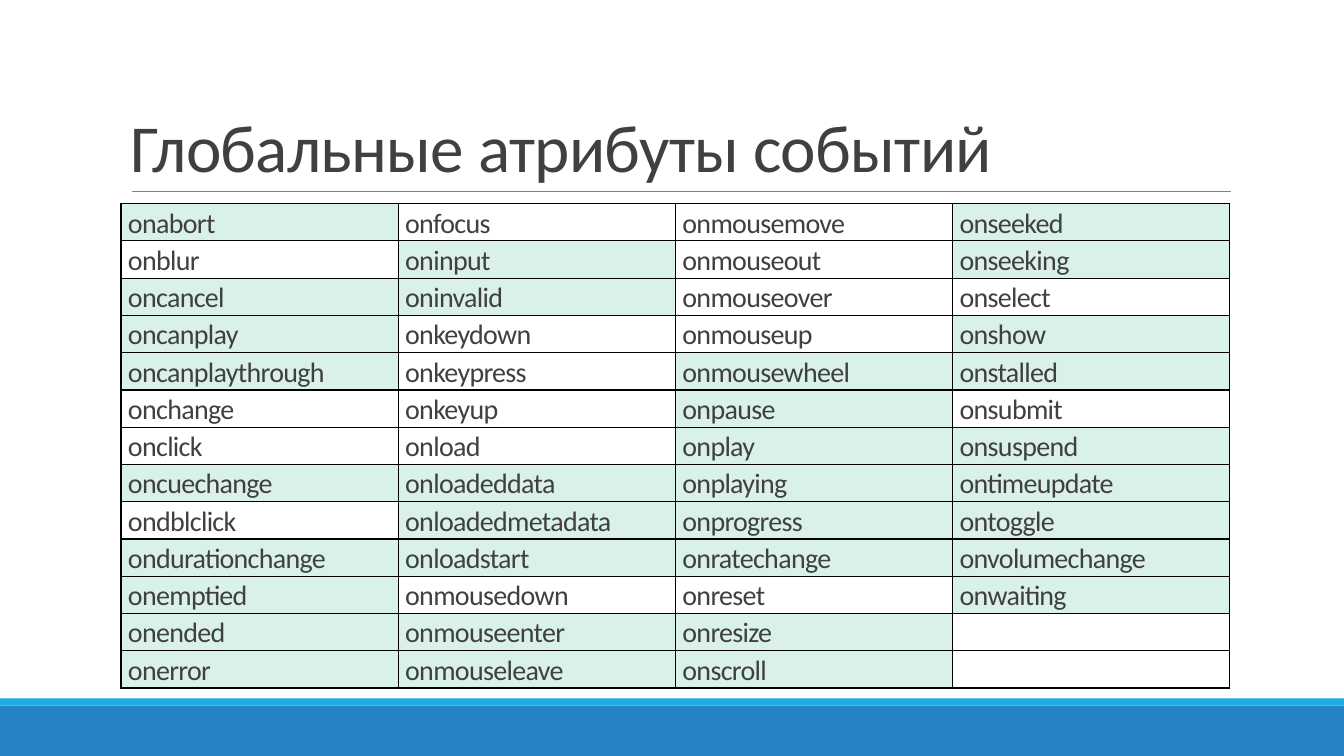
from dataclasses import dataclass

from lxml.etree import SubElement
from pptx import Presentation
from pptx.dml.color import RGBColor
from pptx.enum.shapes import MSO_CONNECTOR as Connector, MSO_SHAPE as Preset
from pptx.enum.text import MSO_ANCHOR as Anchor
from pptx.oxml.ns import qn
from pptx.slide import Slide
from pptx.table import _Cell as Cell
from pptx.text.text import TextFrame
from pptx.util import Pt

COLORS = {
    "footer": "2683C6",
    "stripe": "1CADE4",
    "rule": "808080",
    "text": "404040",
    "shade": "D9F1EA",
    "border": "000000",
}
FONT = "Calibri"
PAGE_WIDTH, PAGE_HEIGHT = 960, 540
TABLE_LEFT, TABLE_TOP = 86.4, 145.44
COLUMN_WIDTH, ROW_HEIGHT = 198, 26.64
ROW_COUNT = 13

EVENTS = """
onabort onblur oncancel oncanplay oncanplaythrough onchange onclick
oncuechange ondblclick ondurationchange onemptied onended onerror
onfocus oninput oninvalid onkeydown onkeypress onkeyup onload
onloadeddata onloadedmetadata onloadstart onmousedown onmouseenter onmouseleave
onmousemove onmouseout onmouseover onmouseup onmousewheel onpause onplay
onplaying onprogress onratechange onreset onresize onscroll
onseeked onseeking onselect onshow onstalled onsubmit onsuspend
ontimeupdate ontoggle onvolumechange onwaiting
""".split()
UNSHADED = set("""
onblur onchange onclick ondblclick onfocus onkeydown onkeypress onkeyup onload
onmousedown onmousemove onmouseout onmouseover onmouseup onreset onselect onsubmit
""".split())


@dataclass(frozen=True)
class Band:
    top: float
    height: float
    color: str


BANDS = (Band(504, 36, "footer"), Band(498.96, 5.04, "stripe"))


def rgb(name: str) -> RGBColor:
    return RGBColor.from_string(COLORS[name])


def write(frame: TextFrame, text: str, *, size: float, line_spacing: float,
          tracking: float = -0.5) -> None:
    """Put one formatted paragraph in the frame; tracking is in points."""
    para = frame.paragraphs[0]
    para.line_spacing = line_spacing
    span = para.add_run()
    span.text = text
    span.font.name = FONT
    span.font.size = Pt(size)
    span.font.color.rgb = rgb("text")
    span.font._element.set("spc", str(round(tracking * 100)))


def draw_band(page: Slide, band: Band) -> None:
    shape = page.shapes.add_shape(
        Preset.RECTANGLE, 0, Pt(band.top), Pt(PAGE_WIDTH), Pt(band.height))
    shape.shadow.inherit = False
    shape.fill.solid()
    shape.fill.fore_color.rgb = rgb(band.color)
    shape.line.fill.background()


def draw_title(page: Slide, text: str) -> None:
    rule = page.shapes.add_connector(
        Connector.STRAIGHT, Pt(94.32), Pt(136.8), Pt(879.12), Pt(136.8))
    rule.line.color.rgb = rgb("rule")
    rule.line.width = Pt(0.5)
    SubElement(rule._element.spPr, qn("a:effectLst"))

    box = page.shapes.add_textbox(Pt(TABLE_LEFT), Pt(22.32), Pt(792), Pt(114.48))
    box.text_frame.word_wrap = True
    box.text_frame.vertical_anchor = Anchor.BOTTOM
    write(box.text_frame, text, size=48, line_spacing=0.85)


def add_borders(cell: Cell, width: float = 1) -> None:
    properties = cell._tc.get_or_add_tcPr()
    for side in ("lnL", "lnR", "lnT", "lnB"):
        line = SubElement(properties, qn(f"a:{side}"), w=str(Pt(width)))
        fill = SubElement(line, qn("a:solidFill"))
        SubElement(fill, qn("a:srgbClr"), val=COLORS["border"])


def fill_cell(cell: Cell, event: str) -> None:
    cell.margin_left = cell.margin_right = Pt(5.04)
    cell.margin_top = cell.margin_bottom = 0
    cell.vertical_anchor = Anchor.MIDDLE
    add_borders(cell)
    if event and event not in UNSHADED:
        cell.fill.solid()
        cell.fill.fore_color.rgb = rgb("shade")
    else:
        cell.fill.background()
    if event:
        write(cell.text_frame, event, size=20, line_spacing=1.07)


def draw_events(page: Slide) -> None:
    """Lay the events out column by column."""
    column_count = -(-len(EVENTS) // ROW_COUNT)
    table = page.shapes.add_table(
        ROW_COUNT, column_count, Pt(TABLE_LEFT), Pt(TABLE_TOP),
        Pt(COLUMN_WIDTH * column_count), Pt(ROW_HEIGHT * ROW_COUNT)).table
    table.first_row = table.horz_banding = False
    for column in table.columns:
        column.width = Pt(COLUMN_WIDTH)
    for row in table.rows:
        row.height = Pt(ROW_HEIGHT)
    for index in range(ROW_COUNT * column_count):
        column_index, row_index = divmod(index, ROW_COUNT)
        event = EVENTS[index] if index < len(EVENTS) else ""
        fill_cell(table.cell(row_index, column_index), event)


def main() -> None:
    deck = Presentation()
    deck.slide_width, deck.slide_height = Pt(PAGE_WIDTH), Pt(PAGE_HEIGHT)
    page = deck.slides.add_slide(deck.slide_layouts[6])
    for band in BANDS:
        draw_band(page, band)
    draw_title(page, "Глобальные атрибуты событий")
    draw_events(page)
    deck.save("out.pptx")


if __name__ == "__main__":
    main()
